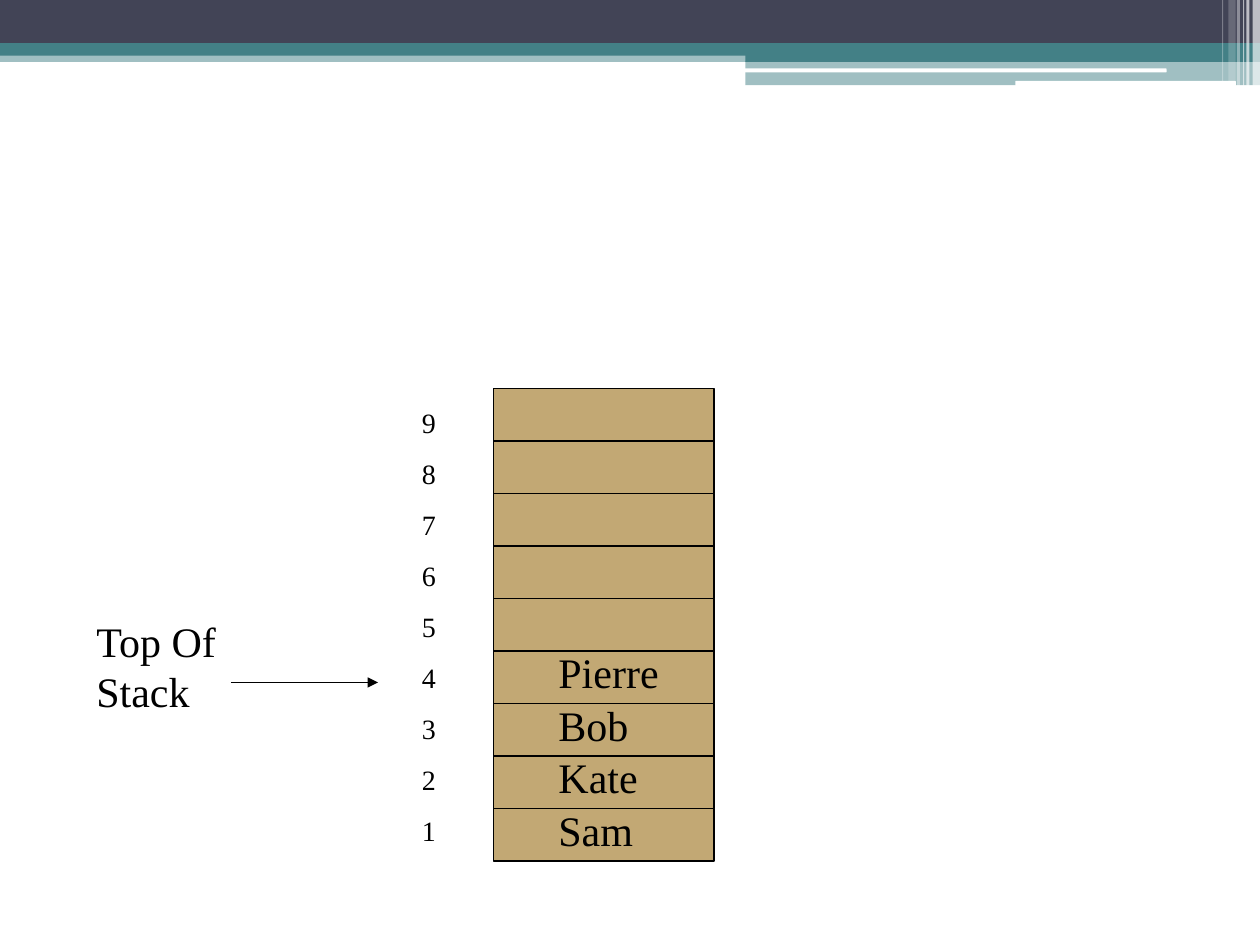
from dataclasses import dataclass

from lxml import etree
from pptx import Presentation
from pptx.dml.color import RGBColor
from pptx.enum.shapes import MSO_CONNECTOR, MSO_SHAPE
from pptx.enum.text import MSO_AUTO_SIZE
from pptx.oxml.ns import qn
from pptx.util import Emu, Pt

RECT = MSO_SHAPE.RECTANGLE
ROUNDED = MSO_SHAPE.ROUNDED_RECTANGLE
STRAIGHT = MSO_CONNECTOR.STRAIGHT
GROW = MSO_AUTO_SIZE.SHAPE_TO_FIT_TEXT

EMU_PER_PX = 7620  # 120 px to the inch


@dataclass(frozen=True)
class Theme:
    navy: str = "424456"
    teal: str = "438086"
    white: str = "FFFFFF"
    tan: str = "C2A874"
    ink: str = "000000"
    font: str = "Times New Roman"
    name_size: int = 24
    index_size: int = 16
    line_width: float = 0.75


def px(length):
    return Emu(length * EMU_PER_PX)


class SlideBuilder:
    def __init__(self, slide, theme):
        self.slide = slide
        self.theme = theme

    def block(self, box, color, opacity=100, outlined=False, preset=RECT):
        shape = self.slide.shapes.add_shape(preset, *map(px, box))
        shape.shadow.inherit = False
        shape.fill.solid()
        shape.fill.fore_color.rgb = RGBColor.from_string(color)
        if opacity < 100:
            fill_color = shape.fill._xPr.find(qn("a:solidFill"))[0]
            etree.SubElement(fill_color, qn("a:alpha"), val=str(opacity * 1000))
        if outlined:
            self.ink_line(shape.line)
        else:
            shape.line.fill.background()

    def ink_line(self, line):
        line.color.rgb = RGBColor.from_string(self.theme.ink)
        line.width = Pt(self.theme.line_width)

    def text(self, box, paragraphs, size, space_before):
        frame = self.slide.shapes.add_textbox(*map(px, box)).text_frame
        frame.word_wrap = True
        frame.auto_size = GROW
        for i, content in enumerate(paragraphs):
            paragraph = frame.add_paragraph() if i else frame.paragraphs[0]
            paragraph.space_before = Pt(space_before)
            run = paragraph.add_run()
            run.text = content
            run.font.name = self.theme.font
            run.font.size = Pt(size)
            run.font.color.rgb = RGBColor.from_string(self.theme.ink)

    def arrow(self, start, end):
        connector = self.slide.shapes.add_connector(
            STRAIGHT, *map(px, (*start, *end)))
        self.ink_line(connector.line)
        etree.SubElement(connector.line._get_or_add_ln(), qn("a:tailEnd"),
                         type="triangle")
        etree.SubElement(connector._element.spPr, qn("a:effectLst"))


def draw_header(builder):
    theme = builder.theme
    for box, color, opacity in (
        ((0, 48, 1200, 11), theme.teal, 50),
        ((0, 0, 1200, 41), theme.navy, 100),
        ((0, 41, 1200, 12), theme.teal, 100),
        ((710, 47, 490, 12), theme.teal, 100),
        ((710, 58, 490, 23), theme.teal, 50),
    ):
        builder.block(box, color, opacity)
    for box in ((709, 65, 402, 4), (967, 77, 210, 5)):
        builder.block(box, theme.white, preset=ROUNDED)
    for left, width, height, opacity in (
        (1193, 7, 82, 65), (1187, 3, 82, 65), (1184, 1, 82, 60),
        (1178, 3, 82, 40), (1170, 7, 77, 20), (1164, 1, 77, 30),
    ):
        builder.block((left, 0, width, height), theme.white, opacity)


def draw_stack(builder):
    theme = builder.theme
    cell_count, cell_height, bottom_cell_top = 9, 50, 770
    names = ("Sam", "Kate", "Bob", "Pierre")

    cell_tops = [bottom_cell_top - i * cell_height for i in range(cell_count)]
    for top in cell_tops:
        builder.block((470, top, 210, cell_height), theme.tan, outlined=True)
    indexes = [str(i) for i in range(cell_count, 0, -1)]
    builder.text((390, 380, 70, 433), indexes, theme.index_size, 10)
    for name, top in zip(names, cell_tops):
        builder.text((520, top - 10, 160, 60), [name], theme.name_size, 15)

    builder.arrow((220, 650), (360, 650))
    builder.text((80, 580, 150, 108), ["Top Of Stack"], theme.name_size, 15)


def main():
    deck = Presentation()
    deck.slide_width, deck.slide_height = px(1200), px(900)
    slide = deck.slides.add_slide(deck.slide_layouts[6])
    builder = SlideBuilder(slide, Theme())
    draw_header(builder)
    draw_stack(builder)
    deck.save("out.pptx")


if __name__ == "__main__":
    main()
